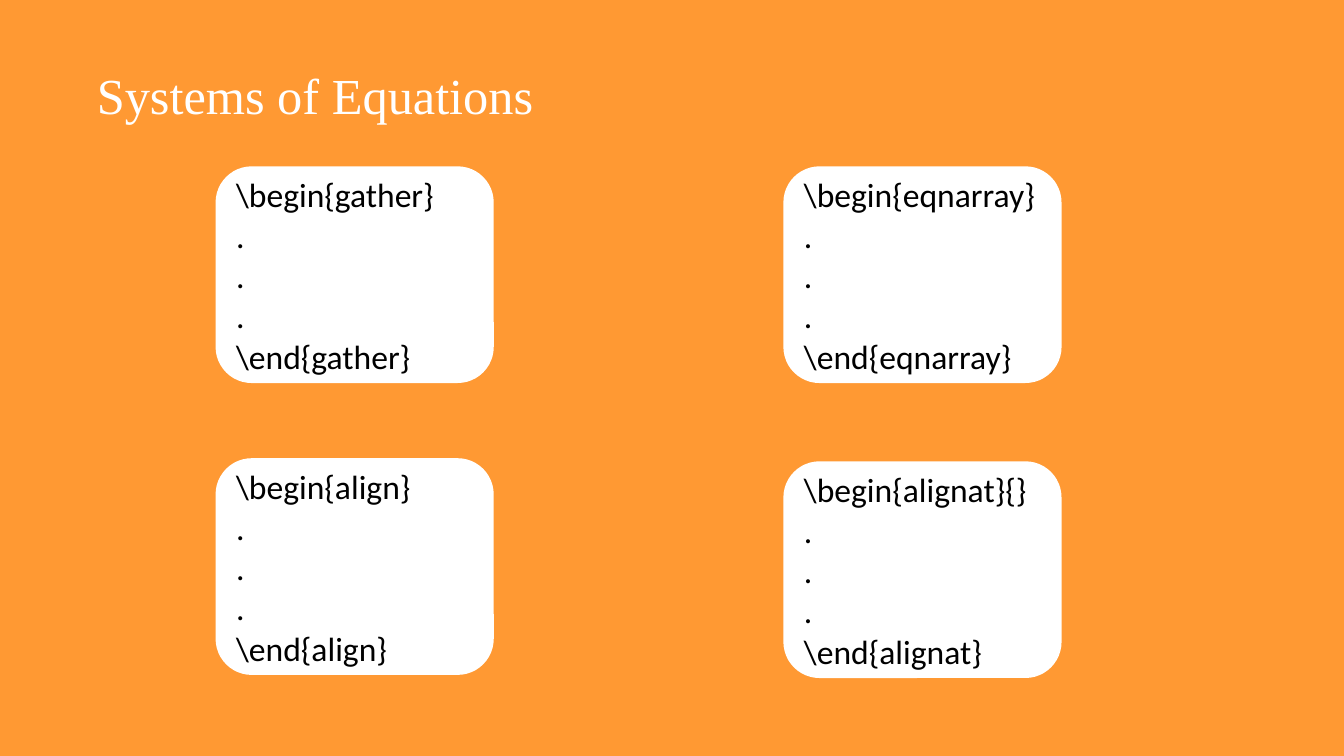
from dataclasses import dataclass

from pptx import Presentation
from pptx.dml.color import RGBColor
from pptx.enum.shapes import MSO_SHAPE
from pptx.enum.text import MSO_ANCHOR, MSO_AUTO_SIZE, PP_ALIGN
from pptx.util import Pt

ROUNDED = MSO_SHAPE.ROUNDED_RECTANGLE
LEFT = PP_ALIGN.LEFT
TOP, MIDDLE = MSO_ANCHOR.TOP, MSO_ANCHOR.MIDDLE
NO_AUTOFIT, FIT_SHAPE = MSO_AUTO_SIZE.NONE, MSO_AUTO_SIZE.SHAPE_TO_FIT_TEXT

TITLE = "Systems of Equations"
# environment, argument after \begin, column, row, nudge down in points
ENVIRONMENTS = [
    ("gather", "", 0, 0, 0),
    ("eqnarray", "", 1, 0, 0),
    ("align", "", 0, 1, 0),
    ("alignat", "{}", 1, 1, 2.2),
]


@dataclass(frozen=True)
class Theme:
    background: RGBColor = RGBColor(0xFF, 0x99, 0x33)
    card: RGBColor = RGBColor(0xFF, 0xFF, 0xFF)
    title: RGBColor = RGBColor(0xFF, 0xFF, 0xFF)
    code: RGBColor = RGBColor(0, 0, 0)
    title_font: str = "Times New Roman"
    code_font: str = "Calibri"
    title_size: int = 36
    code_size: int = 24


THEME = Theme()
PAGE_WIDTH, PAGE_HEIGHT = 960, 540
TITLE_BOX = (61.9, 31, 828, 78.5)
GRID_LEFT, GRID_TOP = 154, 118.8
COLUMN_STEP, ROW_STEP = 405.6, 208.5
CARD_WIDTH, CARD_HEIGHT = 198.7, 154.8
CODE_INSET_X, CODE_INSET_Y = 7.5, 2.2
CODE_WIDTH = 183.6


def write(box, text, *, font, size, color, anchor=TOP, fit=NO_AUTOFIT, spacing=1.0):
    """Put one paragraph per line of text into the box."""
    frame = box.text_frame
    frame.text = text
    frame.word_wrap = True
    frame.auto_size = fit
    frame.vertical_anchor = anchor
    for para in frame.paragraphs:
        para.alignment = LEFT
        para.line_spacing = spacing
        para.font.name = font
        para.font.size = Pt(size)
        para.font.color.rgb = color


def add_environment(page, name, argument, left, top):
    group = page.shapes.add_group_shape()
    card = group.shapes.add_shape(
        ROUNDED, Pt(left), Pt(top), Pt(CARD_WIDTH), Pt(CARD_HEIGHT))
    card.shadow.inherit = False
    card.fill.solid()
    card.fill.fore_color.rgb = THEME.card
    card.line.fill.background()

    box = group.shapes.add_textbox(
        Pt(left + CODE_INSET_X), Pt(top + CODE_INSET_Y),
        Pt(CODE_WIDTH), Pt(CARD_HEIGHT - CODE_INSET_Y))
    lines = [f"\\begin{{{name}}}{argument}", ".", ".", ".", f"\\end{{{name}}}"]
    write(box, "\n".join(lines), font=THEME.code_font, size=THEME.code_size,
          color=THEME.code, fit=FIT_SHAPE)


def main():
    deck = Presentation()
    deck.slide_width, deck.slide_height = Pt(PAGE_WIDTH), Pt(PAGE_HEIGHT)
    page = deck.slides.add_slide(deck.slide_layouts.get_by_name("Title Only"))
    page.background.fill.solid()
    page.background.fill.fore_color.rgb = THEME.background

    title = page.shapes.title
    title.left, title.top, title.width, title.height = map(Pt, TITLE_BOX)
    write(title, TITLE, font=THEME.title_font, size=THEME.title_size,
          color=THEME.title, anchor=MIDDLE, spacing=0.9)

    for name, argument, column, row, nudge in ENVIRONMENTS:
        add_environment(page, name, argument,
                        GRID_LEFT + column * COLUMN_STEP,
                        GRID_TOP + row * ROW_STEP + nudge)
    deck.save("out.pptx")


if __name__ == "__main__":
    main()
